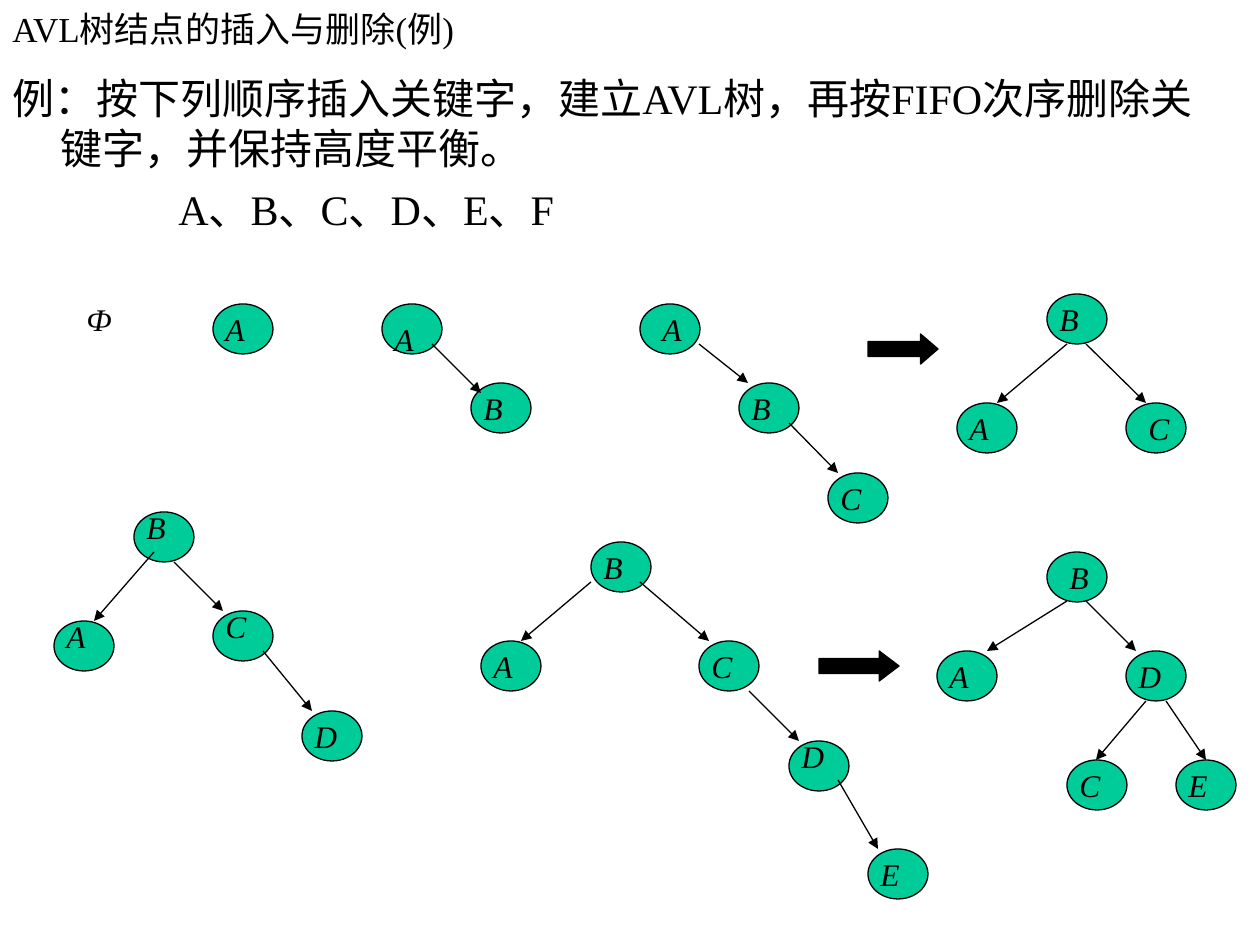
from lxml import etree
from pptx import Presentation
from pptx import util as u
from pptx.dml.color import RGBColor
from pptx.enum import shapes, text
from pptx.oxml.ns import qn

PX = 914400 / 126
BLACK = RGBColor(0x00, 0x00, 0x00)
GREEN = RGBColor(0x00, 0xCC, 0x99)
FONT = "Times New Roman"
NODE_W, NODE_H = 60, 50

TITLE = "AVL树结点的插入与删除(例)"
# Paragraphs: text, left margin, first-line indent
BODY = [
    ("例：按下列顺序插入关键字，建立AVL树，再按FIFO次序删除关键字，并保持高度平衡。", 48, -48),
    ("A、B、C、D、E、F", 166, 0),
]
EMPTY_TREE = ("Ф", 74, 294)

# Nodes: key, left, top, label shift right, label shift down
# Edges: x1, y1, x2, y2
TREES = [
    {"nodes": [("A", 213, 304, 0, 0)], "edges": []},
    {"nodes": [("A", 382, 304, 0, 10), ("B", 471, 383, 0, 0)],
     "edges": [(432, 344, 481, 393)]},
    {"nodes": [("A", 640, 304, 10, 0), ("B", 739, 383, 0, 0), ("C", 828, 473, 0, 0)],
     "edges": [(699, 344, 748, 383), (789, 423, 838, 473)]},
    {"nodes": [("B", 1047, 294, 0, 0), ("A", 957, 403, 0, 0), ("C", 1126, 403, 10, 0)],
     "edges": [(1067, 344, 997, 403), (1086, 344, 1146, 403)]},
    {"nodes": [("B", 134, 512, 0, -10), ("A", 54, 621, 0, -10),
               ("C", 213, 611, 0, -10), ("D", 302, 711, 0, 0)],
     "edges": [(154, 552, 94, 621), (174, 562, 223, 611), (263, 651, 312, 711)]},
    {"nodes": [("B", 591, 542, 0, 0), ("A", 481, 641, 0, 0), ("C", 699, 641, 0, 0),
               ("D", 789, 741, 0, -10), ("E", 868, 849, 0, 0)],
     "edges": [(591, 582, 521, 641), (640, 582, 709, 641),
               (749, 691, 799, 741), (838, 780, 878, 849)]},
    {"nodes": [("B", 1047, 552, 10, 0), ("A", 937, 651, 0, 0), ("D", 1126, 651, 0, 0),
               ("C", 1067, 760, 0, 0), ("E", 1176, 760, 0, 0)],
     "edges": [(1067, 601, 987, 651), (1086, 601, 1136, 651),
               (1146, 701, 1096, 760), (1166, 701, 1206, 760)]},
]
# Rotation arrows: left, top, width, head length ratio
ROTATIONS = [(868, 334, 70, 0.58), (819, 651, 80, 0.66)]
ROTATION_H = 30


def px(*values):
    return [u.Emu(round(v * PX)) for v in values]


def add_text(s, paragraphs, box, size, italic=False, anchor=text.MSO_ANCHOR.TOP):
    tf = s.shapes.add_textbox(*px(*box)).text_frame
    tf.word_wrap = True
    tf.vertical_anchor = anchor
    for i, (words, margin, indent) in enumerate(paragraphs):
        p = tf.add_paragraph() if i else tf.paragraphs[0]
        if i:
            p.space_before = u.Pt(6)
        if margin:
            left, first = px(margin, indent)
            pPr = p._p.get_or_add_pPr()
            pPr.set("marL", str(left))
            pPr.set("indent", str(first))
        r = p.add_run()
        r.text = words
        r.font.name, r.font.size, r.font.italic = FONT, u.Pt(size), italic
        r.font.color.rgb = BLACK


def add_label(s, key, x, y):
    add_text(s, [(key, 0, 0)], (x, y, NODE_W, NODE_H), 18, italic=True)


def add_shape(s, kind, box, fill):
    sp = s.shapes.add_shape(kind, *px(*box))
    sp.shadow.inherit = False
    sp.fill.solid()
    sp.fill.fore_color.rgb = fill
    sp.line.color.rgb = BLACK
    sp.line.width = u.Pt(0.75)
    return sp


def add_edge(s, ends):
    cx = s.shapes.add_connector(shapes.MSO_CONNECTOR.STRAIGHT, *px(*ends))
    cx.line.color.rgb = BLACK
    cx.line.width = u.Pt(0.75)
    etree.SubElement(cx.line._get_or_add_ln(), qn("a:tailEnd"), type="triangle")
    etree.SubElement(cx._element.spPr, qn("a:effectLst"))


def main():
    prs = Presentation()
    prs.slide_width, prs.slide_height = px(1260, 945)
    s = prs.slides.add_slide(prs.slide_layouts[6])

    # Title and task
    add_text(s, [(TITLE, 0, 0)], (0, 0, 1071, 56), 20, anchor=text.MSO_ANCHOR.MIDDLE)
    add_text(s, BODY, (0, 66, 1235, 843), 24)
    add_label(s, *EMPTY_TREE)

    # Trees: nodes, then keys, then edges
    nodes = [n for tree in TREES for n in tree["nodes"]]
    for _, x, y, _, _ in nodes:
        add_shape(s, shapes.MSO_SHAPE.OVAL, (x, y, NODE_W, NODE_H), GREEN)
    for key, x, y, dx, dy in nodes:
        add_label(s, key, x + dx, y + dy)
    for tree in TREES:
        for ends in tree["edges"]:
            add_edge(s, ends)

    # Rotation arrows
    for x, y, w, head in ROTATIONS:
        sp = add_shape(s, shapes.MSO_SHAPE.RIGHT_ARROW, (x, y, w, ROTATION_H), BLACK)
        sp.adjustments[0] = 0.5
        sp.adjustments[1] = head

    prs.save("out.pptx")


if __name__ == "__main__":
    main()
